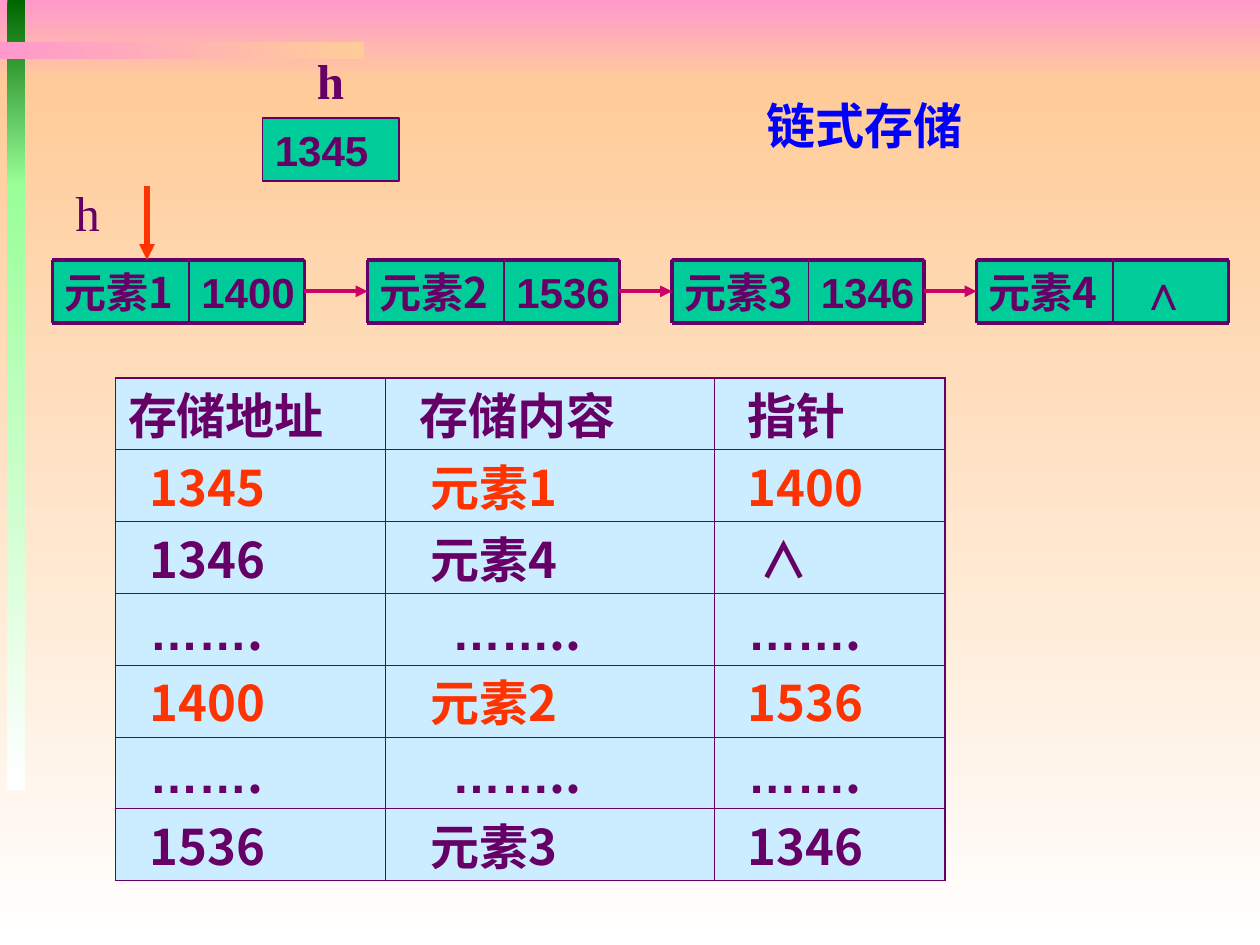
from dataclasses import dataclass
from itertools import pairwise

from lxml import etree
from pptx import Presentation
from pptx.dml.color import RGBColor
from pptx.enum.shapes import MSO_CONNECTOR, MSO_SHAPE
from pptx.enum.text import MSO_ANCHOR, PP_ALIGN
from pptx.oxml.ns import qn
from pptx.slide import Slide
from pptx.util import Inches, Pt

RECTANGLE = MSO_SHAPE.RECTANGLE
STRAIGHT = MSO_CONNECTOR.STRAIGHT
MIDDLE = MSO_ANCHOR.MIDDLE
TOP = MSO_ANCHOR.TOP
LEFT = PP_ALIGN.LEFT
CENTER = PP_ALIGN.CENTER

WIDTH, HEIGHT = Inches(10), Inches(7.5)
COLUMNS, ROWS = 120, 90
COLORS = {
    "ink": "660066", "box": "00CC99", "cell": "CCECFF", "accent": "FF3300",
    "link": "CC0066", "title": "0000FF", "pink": "FF99CC", "peach": "FFCC99",
    "forest": "006600", "mint": "99FF99", "white": "FFFFFF",
}
CJK, SANS, SERIF = "Noto Sans CJK SC", "Arial", "Times New Roman"


@dataclass
class Canvas:
    slide: Slide

    def x(self, columns):
        return round(WIDTH * columns / COLUMNS)

    def y(self, rows):
        return round(HEIGHT * rows / ROWS)

    def place(self, left, top, width, height):
        return self.x(left), self.y(top), self.x(width), self.y(height)

    def color(self, name):
        return RGBColor.from_string(COLORS[name])

    def run(self, paragraph, text, size, font, color="ink", bold=True):
        run = paragraph.add_run()
        run.text = text
        run.font.size = Pt(size)
        run.font.name = font
        run.font.bold = bold
        run.font.color.rgb = self.color(color)
        east_asian = etree.SubElement(run.font._element, qn("a:ea"))
        east_asian.set("typeface", CJK)

    def indent(self, paragraph, inches):
        properties = paragraph._p.get_or_add_pPr()
        properties.set("marL", str(Inches(inches)))
        properties.set("indent", "0")

    def frame(self, shape, align=LEFT):
        frame = shape.text_frame
        frame.word_wrap = True
        frame.vertical_anchor = MIDDLE
        frame.margin_right = 0
        paragraph = frame.paragraphs[0]
        paragraph.alignment = align
        return paragraph

    def gradient(self, area, start, end, angle):
        shape = self.slide.shapes.add_shape(RECTANGLE, *self.place(*area))
        shape.shadow.inherit = False
        shape.line.fill.background()
        shape.fill.gradient()
        shape.fill.gradient_angle = angle
        for stop, position, name in zip(shape.fill.gradient_stops, (0, 1), (start, end)):
            stop.position = position
            stop.color.rgb = self.color(name)

    def box(self, left, top, width, height, text, font, size=24, indent=0):
        shape = self.slide.shapes.add_shape(RECTANGLE, *self.place(left, top, width, height))
        shape.shadow.inherit = False
        shape.fill.solid()
        shape.fill.fore_color.rgb = self.color("box")
        shape.line.color.rgb = self.color("ink")
        shape.line.width = Pt(0.75)
        paragraph = self.frame(shape)
        self.indent(paragraph, indent)
        self.run(paragraph, text, size, font)

    def label(self, area, text, bold):
        shape = self.slide.shapes.add_textbox(*self.place(*area))
        self.run(self.frame(shape), text, 28, SERIF, bold=bold)

    def title(self, area, text):
        shape = self.slide.shapes.title
        shape.left, shape.top, shape.width, shape.height = self.place(*area)
        paragraph = self.frame(shape, CENTER)
        shape.text_frame.margin_left = 0
        self.run(paragraph, text, 28, SERIF, "title")
        self.slide.shapes.element.append(shape.element)

    def line(self, start, end, color="ink", width=2.25, arrow=False):
        connector = self.slide.shapes.add_connector(
            STRAIGHT, self.x(start[0]), self.y(start[1]), self.x(end[0]), self.y(end[1]))
        connector.line.color.rgb = self.color(color)
        connector.line.width = Pt(width)
        if arrow:
            tail = etree.SubElement(connector.line._get_or_add_ln(), qn("a:tailEnd"))
            tail.set("type", "triangle")
        etree.SubElement(connector._element.spPr, qn("a:effectLst"))

    def node(self, left, top, split, width, height, element, pointer):
        last = pointer == "∧"
        self.box(left + split, top, width - split, height, pointer, SANS,
                 28 if last else 24, 0.11 if last else 0)
        self.box(left, top, split, height, element, CJK)
        right, bottom = left + width, top + height
        for edge in (top, bottom):
            self.line((left, edge), (right, edge))
        for edge, weight in ((left, 2.25), (left + split, 1), (right, 2.25)):
            self.line((edge, top), (edge, bottom), width=weight)

    def borders(self, cell, widths):
        properties = cell._tc.get_or_add_tcPr()
        for index, (side, width) in enumerate(zip("LRTB", widths)):
            line = etree.Element(qn(f"a:ln{side}"), w=str(Pt(width)))
            fill = etree.SubElement(line, qn("a:solidFill"))
            etree.SubElement(fill, qn("a:srgbClr"), val=COLORS["ink"])
            properties.insert(index, line)

    def table(self, left, top, widths, row_height, records, accents):
        area = self.place(left, top, sum(widths), row_height * len(records))
        table = self.slide.shapes.add_table(len(records), len(widths), *area).table
        table.first_row = table.horz_banding = False
        for column, width in zip(table.columns, widths):
            column.width = self.x(width)
        last_row, last_column = len(records) - 1, len(widths) - 1
        for row_index, record in enumerate(records):
            table.rows[row_index].height = self.y(row_height)
            for column_index, (text, indent) in enumerate(record):
                cell = table.cell(row_index, column_index)
                cell.fill.solid()
                cell.fill.fore_color.rgb = self.color("cell")
                cell.vertical_anchor = TOP
                cell.margin_top = cell.margin_bottom = 0
                outer = (column_index == 0, column_index == last_column,
                         row_index == 0, row_index == last_row)
                self.borders(cell, [1.08 if edge else 0.45 for edge in outer])
                paragraph = cell.text_frame.paragraphs[0]
                self.indent(paragraph, indent)
                color = "accent" if row_index in accents else "ink"
                dots = text.count("…")
                if dots:
                    self.run(paragraph, text[:dots], 28, SANS, color)
                self.run(paragraph, text[dots:], 28, CJK, color)


def main():
    presentation = Presentation()
    presentation.slide_width, presentation.slide_height = WIDTH, HEIGHT
    canvas = Canvas(presentation.slides.add_slide(presentation.slide_layouts[5]))

    for area, start, end, angle in (
        ((0, 0, 120, 8), "pink", "peach", 270),
        ((0, 8, 120, 82), "peach", "white", 270),
        ((0.7, 0, 1.7, 17.7), "forest", "mint", 270),
        ((0.7, 17.5, 1.7, 57.7), "mint", "white", 270),
        ((0, 4, 34.7, 1.65), "pink", "peach", 0),
    ):
        canvas.gradient(area, start, end, angle)

    top, split, width, height = 24.75, 13, 24, 6
    lefts = (5, 35, 64, 93)
    pointers = ("1400", "1536", "1346", "∧")
    for number, (left, pointer) in enumerate(zip(lefts, pointers), 1):
        canvas.node(left, top, split, width, height, f"元素{number}", pointer)
    center = top + height / 2
    for left, following in pairwise(lefts):
        canvas.line((left + width, center), (following, center), "link", arrow=True)

    canvas.box(25, 11.25, split, height, "1345", SANS)
    canvas.label((6, 16.8, 4.7, 6.8), "h", False)
    canvas.label((29, 4.2, 5, 6.8), "h", True)
    canvas.line((14, 17.75), (14, top), "accent", 3, True)
    canvas.title((71, 8.5, 22.7, 6.8), "链式存储")

    narrow, medium, wide = 0.17, 0.26, 0.43
    dots = (("…….", narrow), ("……..", wide), ("…….", narrow))
    records = [
        (("存储地址", 0), ("存储内容", narrow), ("指针", narrow)),
        (("1345", narrow), ("元素1", medium), ("1400", narrow)),
        (("1346", narrow), ("元素4", medium), ("∧", medium)),
        dots,
        (("1400", narrow), ("元素2", medium), ("1536", narrow)),
        dots,
        (("1536", narrow), ("元素3", medium), ("1346", narrow)),
    ]
    canvas.table(11, 36, (25.7, 31.3, 22), 6.84, records, {1, 4})
    presentation.save("out.pptx")


if __name__ == "__main__":
    main()
